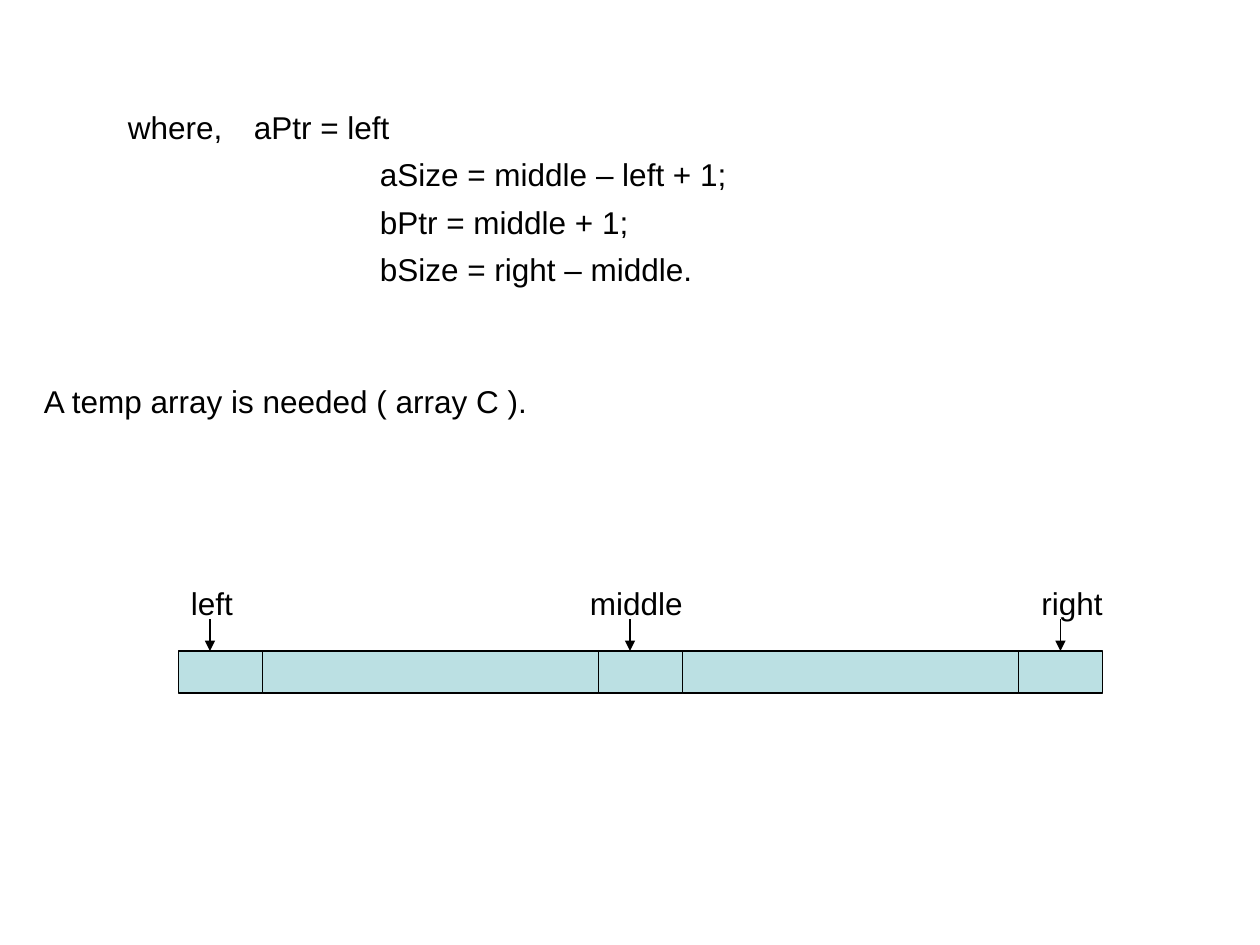
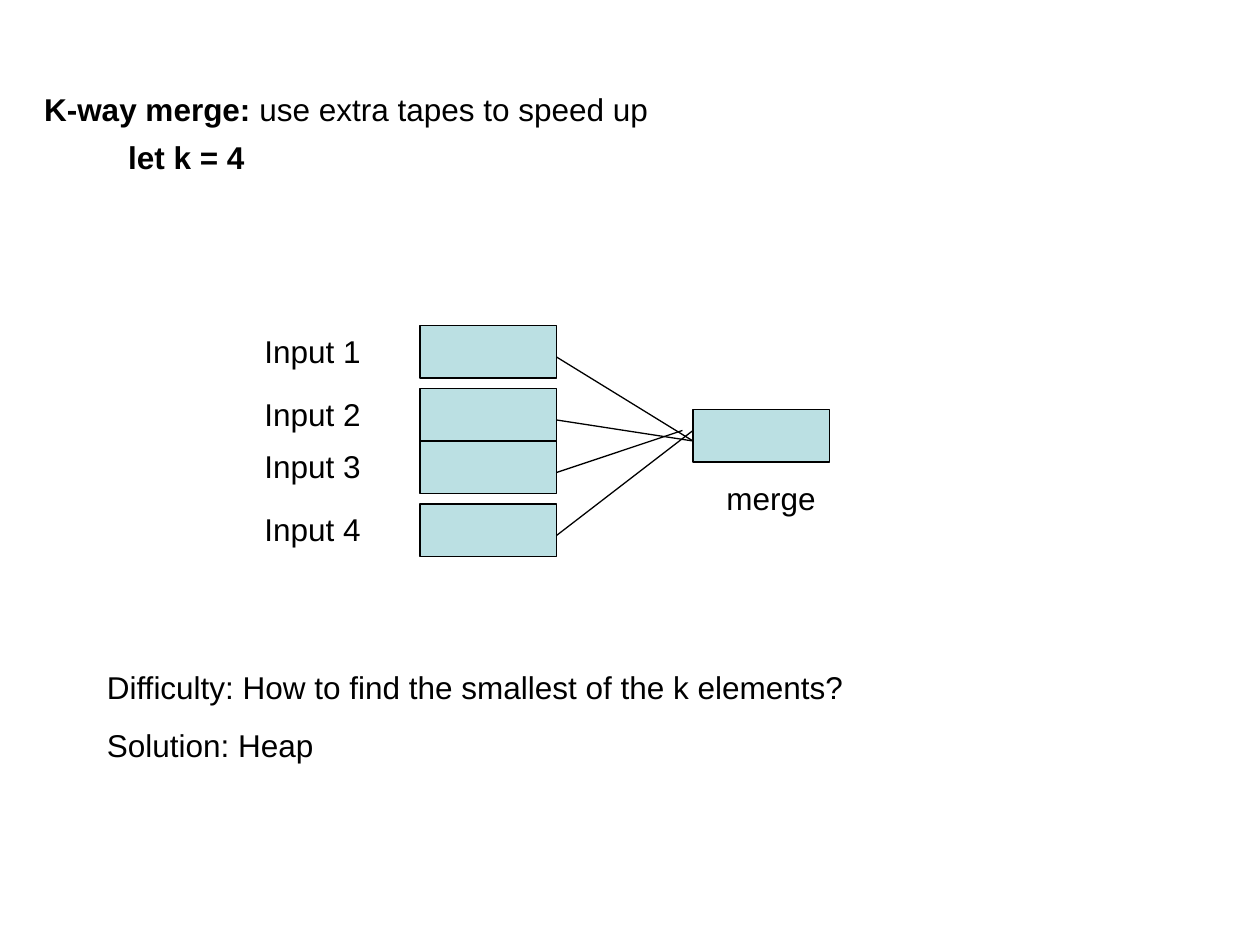
from dataclasses import dataclass

from pptx import Presentation
from pptx.dml.color import RGBColor
from pptx.enum.shapes import MSO_CONNECTOR, MSO_SHAPE
from pptx.enum.text import MSO_ANCHOR, MSO_AUTO_SIZE, PP_ALIGN
from pptx.oxml.ns import qn
from pptx.util import Pt
from lxml import etree

STRAIGHT = MSO_CONNECTOR.STRAIGHT
RECTANGLE = MSO_SHAPE.RECTANGLE
TOP = MSO_ANCHOR.TOP
NO_AUTOFIT = MSO_AUTO_SIZE.NONE
LEFT = PP_ALIGN.LEFT

# Shared style
FONT, SIZE, LINE_WIDTH = "Arial", 18, 0.75
BLACK, CELL_FILL = "000000", "BBE0E3"
TITLE_ONLY, BLANK = 5, 6
LIST_GAP, NOTE_GAP = 5.4, 12
INDENT, TAB = 48, 72


@dataclass
class Line:
    text: str
    margin: float = 0
    hanging: float = 0
    bold: bool = False
    lead: str = ""  # bold words before the text


@dataclass
class Pointer:
    name: str
    x: float
    label_left: float
    label_width: float
    cell: int | None = None  # cell whose top middle the arrow meets


@dataclass
class Tape:
    name: str
    top: float
    end_x: float
    end_y: float


def color(value: str) -> RGBColor:
    return RGBColor.from_string(value)


def write(sp, lines: list[Line], gap: float = 0) -> None:
    tf = sp.text_frame
    tf.word_wrap, tf.auto_size, tf.vertical_anchor = True, NO_AUTOFIT, TOP
    for i, line in enumerate(lines):
        p = tf.paragraphs[0] if i == 0 else tf.add_paragraph()
        p.alignment = LEFT
        p.space_before = Pt(gap if i else 0)
        pPr = p._p.get_or_add_pPr()
        pPr.set("marL", str(Pt(line.margin)))
        pPr.set("indent", str(Pt(-line.hanging)))
        p.font.name, p.font.size, p.font.bold = FONT, Pt(SIZE), line.bold
        p.font.color.rgb = color(BLACK)
        if line.lead:
            r = p.add_run()
            r.text, r.font.bold = line.lead, True
        p.add_run().text = line.text


def add_text(slide, left: float, top: float, width: float, height: float,
             lines: list[Line], gap: float = 0) -> None:
    sp = slide.shapes.add_textbox(Pt(left), Pt(top), Pt(width), Pt(height))
    write(sp, lines, gap)


def add_cell(slide, left: float, top: float, width: float, height: float):
    sp = slide.shapes.add_shape(RECTANGLE, Pt(left), Pt(top), Pt(width), Pt(height))
    sp.shadow.inherit = False
    sp.fill.solid()
    sp.fill.fore_color.rgb = color(CELL_FILL)
    sp.line.color.rgb = color(BLACK)
    sp.line.width = Pt(LINE_WIDTH)
    return sp


def add_line(slide, x1: float, y1: float, x2: float, y2: float, arrow: bool = False):
    cxn = slide.shapes.add_connector(STRAIGHT, Pt(x1), Pt(y1), Pt(x2), Pt(y2))
    cxn.line.color.rgb = color(BLACK)
    cxn.line.width = Pt(LINE_WIDTH)
    if arrow:
        etree.SubElement(cxn.line._get_or_add_ln(), qn("a:tailEnd"), type="triangle")
    etree.SubElement(cxn._element.spPr, qn("a:effectLst"))
    return cxn


def build_array_slide(prs) -> None:
    slide = prs.slides.add_slide(prs.slide_layouts[BLANK])

    # Definitions of the two halves
    inner = INDENT + 2 * TAB
    add_text(slide, 18, 58.2, 702, 114, [
        Line("where,\taPtr = left", INDENT + TAB, TAB),
        Line("aSize = middle – left + 1;", inner),
        Line("bPtr = middle + 1;", inner),
        Line("bSize = right – middle.", inner),
    ], LIST_GAP)
    add_text(slide, 18, 214.8, 702, 30, [Line("A temp array is needed ( array C ).")])

    # Array cells, side by side
    row_top, left, cells = 372, 102, []
    for width in (48, 192, 48, 192, 48):
        cells.append(add_cell(slide, left, row_top, width, 24))
        left += width

    # Pointers into the array
    for ptr in (Pointer("left", 120, 102, 54),
                Pointer("middle", 360, 330, 72),
                Pointer("right", 606, 588, 54, cell=4)):
        add_text(slide, ptr.label_left, 330, ptr.label_width, 28.8, [Line(ptr.name)])
        cxn = add_line(slide, ptr.x, 354, ptr.x, row_top, arrow=True)
        if ptr.cell is not None:
            cxn.end_connect(cells[ptr.cell], 0)


def build_merge_slide(prs) -> None:
    slide = prs.slides.add_slide(prs.slide_layouts[TITLE_ONLY])

    # Title
    title = slide.shapes.title
    title.left, title.top, title.width, title.height = Pt(18), Pt(48), Pt(702), Pt(60)
    write(title, [Line("use extra tapes to speed up", lead="K-way merge: "),
                  Line("let k = 4", INDENT, bold=True)], LIST_GAP)

    # Input tapes and the merged tape
    tape_left, width, height = 240, 78, 30
    merge_left = 396
    tapes = [Tape("Input 1", 186, merge_left, 252),
             Tape("Input 2", 222, merge_left, 252),
             Tape("Input 3", 252, merge_left - 6, 246),
             Tape("Input 4", 288, merge_left, 246)]
    for tape in tapes:
        add_text(slide, 144, tape.top, 90, 28.8, [Line(tape.name)])
        add_cell(slide, tape_left, tape.top, width, height)
    add_cell(slide, merge_left, 234, width, height)
    for tape in tapes:
        add_line(slide, tape_left + width, tape.top + 18, tape.end_x, tape.end_y)
    add_text(slide, 408, 270, 90, 28.8, [Line("merge")])

    # Question and answer
    add_text(slide, 54, 378, 498, 62, [
        Line("Difficulty: How to find the smallest of the k elements?"),
        Line("Solution: Heap"),
    ], NOTE_GAP)


def main() -> None:
    prs = Presentation()
    prs.slide_width, prs.slide_height = Pt(720), Pt(540)
    build_array_slide(prs)
    build_merge_slide(prs)
    prs.save("out.pptx")


if __name__ == "__main__":
    main()
